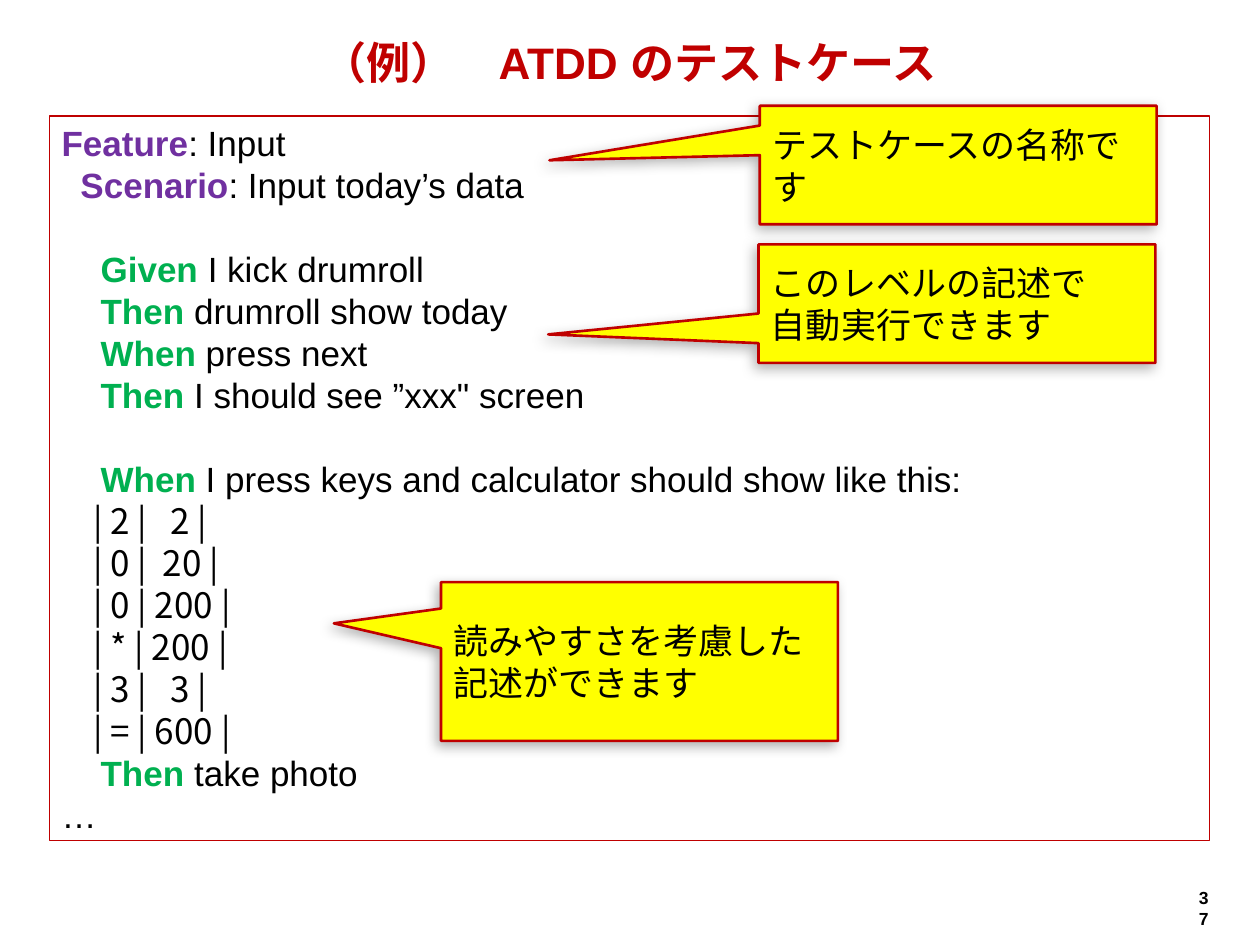
from dataclasses import dataclass

from lxml.etree import SubElement
from pptx import Presentation
from pptx.dml.color import RGBColor
from pptx.enum.shapes import MSO_SHAPE
from pptx.enum.text import MSO_ANCHOR, PP_ALIGN
from pptx.oxml.ns import qn
from pptx.util import Inches, Pt


@dataclass(frozen=True)
class Theme:
    font: str = "Arial"
    table_font: str = "Noto Sans CJK JP"
    ink: RGBColor = RGBColor(0, 0, 0)
    title: RGBColor = RGBColor(0xC0, 0, 0)
    border: RGBColor = RGBColor(0xBF, 0, 0)
    heading: RGBColor = RGBColor(0x70, 0x30, 0xA0)
    step: RGBColor = RGBColor(0, 0xB0, 0x50)
    callout: RGBColor = RGBColor(0xFF, 0xFF, 0)
    title_size: float = 25.2
    body_size: float = 20
    number_size: float = 10
    leading: float = 1.2


THEME = Theme()


@dataclass(frozen=True)
class Line:
    text: str
    keyword: str = ""
    color: RGBColor = THEME.step
    indent: float = 0.31
    font: str = THEME.font
    gap_before: bool = False


@dataclass(frozen=True)
class Callout:
    left: float
    top: float
    height: float
    tip: tuple[float, float]
    lines: tuple[str, ...]


TABLE_ROWS = ("| 2 |   2 |", "| 0 |  20 |", "| 0 | 200 |",
              "| * | 200 |", "| 3 |   3 |", "| = | 600 |")

SCENARIO = (
    Line(": Input", "Feature", THEME.heading, indent=0),
    Line(": Input today’s data", "Scenario", THEME.heading, indent=0.15),
    Line(" I kick drumroll", "Given", gap_before=True),
    Line(" drumroll show today", "Then"),
    Line(" press next", "When"),
    Line(' I should see ”xxx" screen', "Then"),
    Line(" I press keys and calculator should show like this:", "When", gap_before=True),
    *(Line(row, indent=0.25, font=THEME.table_font) for row in TABLE_ROWS),
    Line(" take photo", "Then"),
    Line("…", indent=0),
)

CALLOUTS = (
    Callout(6.03, 0.84, 0.94, (-1.03, -0.04), ("テストケースの名称です",)),
    Callout(6.02, 1.94, 0.94, (-1.03, 0.26), ("このレベルの記述で", "自動実行できます")),
    Callout(3.5, 4.62, 1.26, (-0.77, -0.24), ("読みやすさを考慮した", "記述ができます")),
)


def paragraph_at(frame, index: int):
    return frame.paragraphs[0] if index == 0 else frame.add_paragraph()


def style_paragraph(paragraph, size: float, align=PP_ALIGN.LEFT, font: str = THEME.font,
                    color: RGBColor = THEME.ink, bold: bool = False) -> None:
    paragraph.alignment = align
    paragraph.line_spacing = Pt(size * THEME.leading)
    paragraph.font.name = font
    paragraph.font.size = Pt(size)
    paragraph.font.bold = bold
    paragraph.font.color.rgb = color


def add_label(page, text: str, left: float, top: float, width: float, height: float,
              size: float, align, color: RGBColor) -> None:
    """Add a bold one-paragraph text box."""
    box = page.shapes.add_textbox(Inches(left), Inches(top), Inches(width), Inches(height))
    box.text_frame.word_wrap = True
    para = box.text_frame.paragraphs[0]
    para.text = text
    style_paragraph(para, size, align, color=color, bold=True)


def add_panel(page, kind, left: float, top: float, width: float, height: float,
              line_width: float):
    """Add an outlined shape whose text is centred vertically."""
    panel = page.shapes.add_shape(kind, Inches(left), Inches(top), Inches(width), Inches(height))
    panel.shadow.inherit = False
    panel.fill.background()
    panel.line.color.rgb = THEME.border
    panel.line.width = Pt(line_width)
    panel.text_frame.word_wrap = True
    panel.text_frame.vertical_anchor = MSO_ANCHOR.MIDDLE
    return panel


def add_scenario(page) -> None:
    frame = add_panel(page, MSO_SHAPE.RECTANGLE, 0.39, 0.92, 9.21, 5.75, 0.75).text_frame
    for index, line in enumerate(SCENARIO):
        para = paragraph_at(frame, index)
        style_paragraph(para, THEME.body_size, font=line.font)
        if line.gap_before:
            para.space_before = Pt(THEME.body_size * THEME.leading)
        para._p.get_or_add_pPr().set("marL", str(Inches(line.indent)))
        if line.keyword:
            span = para.add_run()
            span.text = line.keyword
            span.font.bold = True
            span.font.color.rgb = line.color
        para.add_run().text = line.text


def add_soft_shadow(shape) -> None:
    effects = shape._element.spPr.find(qn("a:effectLst"))
    shadow = SubElement(effects, qn("a:outerShdw"), blurRad=str(Pt(7)), dist=str(Pt(3)),
                        dir=str(135 * 60000), rotWithShape="0")
    color = SubElement(shadow, qn("a:srgbClr"), val=str(THEME.ink))
    SubElement(color, qn("a:alpha"), val="30000")


def add_callout(page, callout: Callout) -> None:
    shape = add_panel(page, MSO_SHAPE.RECTANGULAR_CALLOUT, callout.left, callout.top,
                      3.15, callout.height, 1.5)
    shape.fill.solid()
    shape.fill.fore_color.rgb = THEME.callout
    shape.adjustments[0], shape.adjustments[1] = callout.tip
    add_soft_shadow(shape)
    for index, text in enumerate(callout.lines):
        para = paragraph_at(shape.text_frame, index)
        para.text = text
        style_paragraph(para, THEME.body_size)


def main() -> None:
    deck = Presentation()
    deck.slide_width, deck.slide_height = Inches(10), Inches(7.5)
    page = deck.slides.add_slide(deck.slide_layouts[6])
    add_label(page, "37", 9.41, 6.99, 0.28, 0.27, THEME.number_size, PP_ALIGN.RIGHT, THEME.ink)
    add_label(page, "（例）　ATDD のテストケース", 0.39, 0.23, 9.21, 0.5,
              THEME.title_size, PP_ALIGN.CENTER, THEME.title)
    add_scenario(page)
    for callout in CALLOUTS:
        add_callout(page, callout)
    deck.save("out.pptx")


if __name__ == "__main__":
    main()
